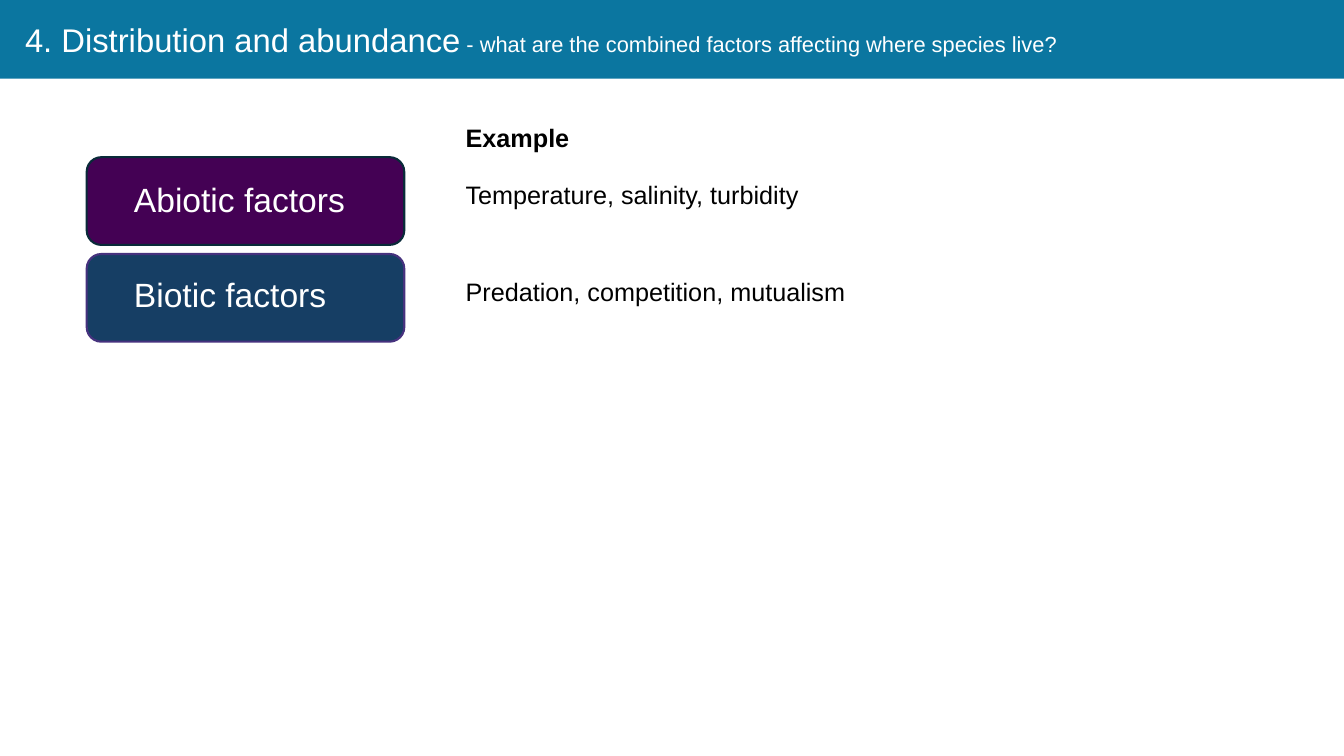
from pptx import Presentation
from pptx.dml.color import RGBColor
from pptx.enum.shapes import MSO_SHAPE
from pptx.enum.text import MSO_ANCHOR
from pptx.util import Inches, Pt


def color(code):
    return RGBColor.from_string(code)


class Deck:
    font = "Arial"
    white = "FFFFFF"
    black = "000000"

    def __init__(self):
        self.show = Presentation()
        self.show.slide_width = Inches(13.33)
        self.show.slide_height = Inches(7.5)
        self.slide = self.show.slides.add_slide(self.show.slide_layouts[6])

    def block(self, kind, area, fill, line=None):
        shape = self.slide.shapes.add_shape(kind, *map(Inches, area))
        shape.shadow.inherit = False
        shape.fill.solid()
        shape.fill.fore_color.rgb = color(fill)
        if line:
            shape.line.color.rgb = color(line)
            shape.line.width = Pt(1.5)
        else:
            shape.line.fill.background()

    def text(self, area, runs, tint, bold=False, anchor=MSO_ANCHOR.TOP, space=1.0):
        frame = self.slide.shapes.add_textbox(*map(Inches, area)).text_frame
        frame.word_wrap = True
        frame.vertical_anchor = anchor
        para = frame.paragraphs[0]
        para.line_spacing = space
        for words, size in runs:
            run = para.add_run()
            run.text = words
            run.font.name = self.font
            run.font.size = Pt(size)
            run.font.bold = bold
            run.font.color.rgb = color(tint)


def main():
    deck = Deck()
    factors = [
        ("Abiotic factors", "Temperature, salinity, turbidity", "440154", "092A39", 1.73),
        ("Biotic factors", "Predation, competition, mutualism", "163E64", "46327E", 2.67),
    ]
    for row, (name, sample, fill, line, top) in enumerate(factors):
        shift = row * 0.96
        deck.block(MSO_SHAPE.ROUNDED_RECTANGLE, (0.86, 1.56 + shift, 3.15, 0.87), fill, line)
        deck.text((1.23, top, 2.88, 0.5), [(name, 24)], deck.white)
        deck.text((4.52, 1.73 + shift, 6.67, 0.4), [(sample, 18)], deck.black)
    deck.text((4.52, 1.16, 1.62, 0.4), [("Example", 18)], deck.black, bold=True)

    deck.block(MSO_SHAPE.RECTANGLE, (0, 0, 13.33, 0.78), "0B76A0")
    title = [
        ("4. Distribution and abundance", 23.4),
        (" - what are the combined factors affecting where species live?", 15.6),
    ]
    deck.text((0.15, 0.04, 11.5, 0.75), title, deck.white, anchor=MSO_ANCHOR.MIDDLE, space=0.9)
    deck.show.save("out.pptx")


if __name__ == "__main__":
    main()
